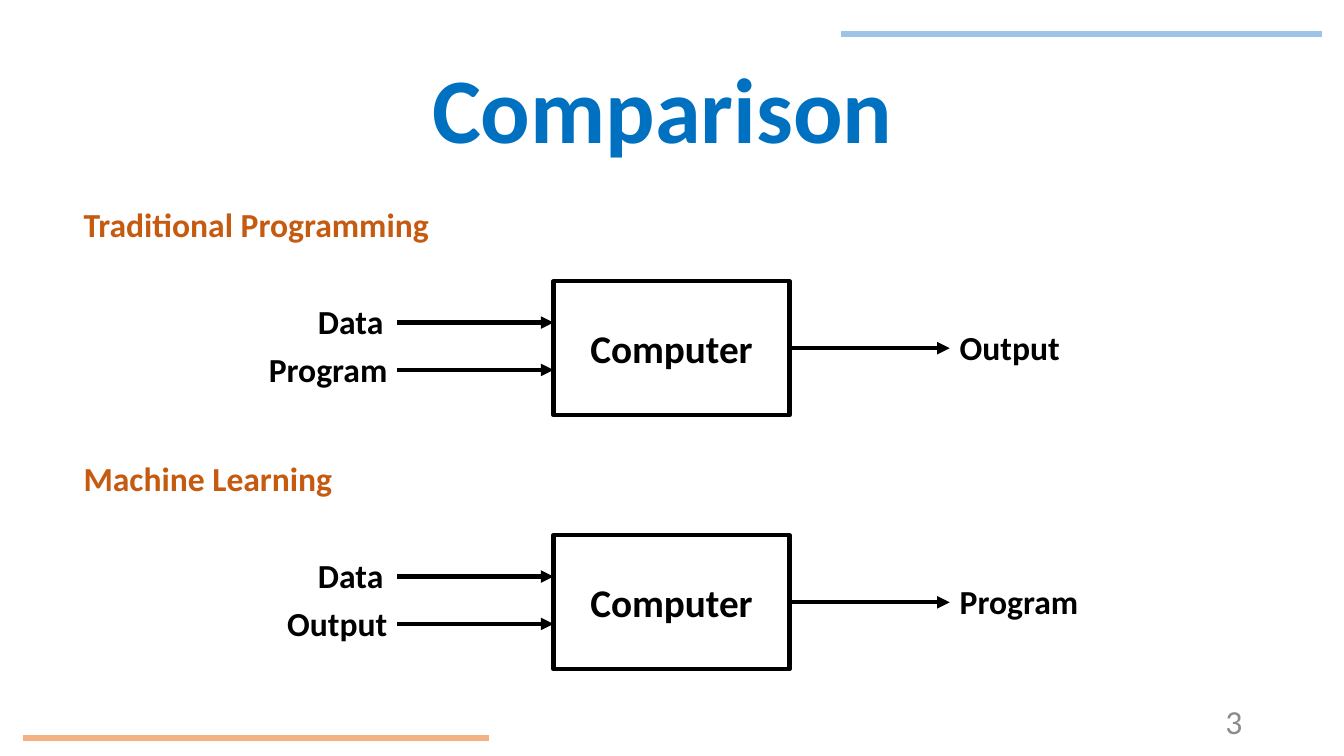
from lxml import etree
from pptx import Presentation
from pptx.dml.color import RGBColor
from pptx.enum import shapes, text
from pptx.oxml import ns
from pptx.util import Inches, Pt

TITLE = "Comparison"
PAGE_NUMBER = "3"
FLOWS = [
    {"heading": "Traditional Programming", "machine": "Computer",
     "inputs": ["Data", "Program"], "result": "Output"},
    {"heading": "Machine Learning", "machine": "Computer",
     "inputs": ["Data", "Output"], "result": "Program"},
]
ACCENT_RULES = [
    ((8.34, 0.34), (13.11, 0.34), "9DC3E6"),
    ((0.23, 7.32), (4.85, 7.32), "F4B183"),
]
FONT = "Calibri"
BLACK = "000000"
LEFT, CENTER, RIGHT = text.PP_ALIGN.LEFT, text.PP_ALIGN.CENTER, text.PP_ALIGN.RIGHT
TOP, MIDDLE = text.MSO_ANCHOR.TOP, text.MSO_ANCHOR.MIDDLE

FLOW_TOP, FLOW_PITCH = 1.97, 2.52
MACHINE_LEFT, MACHINE_DROP, MACHINE_W, MACHINE_H = 5.49, 0.82, 2.34, 1.33
INPUT_ARROW_LEFT, INPUT_DROP, INPUT_PITCH = 3.94, 1.23, 0.47
INPUT_LABEL_RIGHTS = [3.9, 3.94]
LABEL_W, LABEL_H, LABEL_RISE = 1.55, 0.5, 0.26
RESULT_LEFT = 9.42


def color(hex_string):
    return RGBColor.from_string(hex_string)


def write(shape, words, size, ink, align=LEFT, anchor=TOP, bold=True):
    frame = shape.text_frame
    frame.text = words
    frame.word_wrap = True
    frame.vertical_anchor = anchor
    paragraph = frame.paragraphs[0]
    paragraph.alignment = align
    font = paragraph.runs[0].font
    font.name, font.size, font.bold = FONT, Pt(size), bold
    font.color.rgb = color(ink)
    return paragraph


def add_label(slide, box, words, size=24, ink=BLACK, **style):
    label = slide.shapes.add_textbox(*map(Inches, box))
    write(label, words, size, ink, **style)


def add_line(slide, start, end, ink=BLACK, width=3, arrow=True):
    line = slide.shapes.add_connector(
        shapes.MSO_CONNECTOR.STRAIGHT, *map(Inches, start + end))
    line.line.color.rgb = color(ink)
    line.line.width = Pt(width)
    if arrow:
        outline = line.line._get_or_add_ln()
        etree.SubElement(outline, ns.qn("a:tailEnd"), type="triangle")
    etree.SubElement(line._element.spPr, ns.qn("a:effectLst"))
    return line


def add_flow(slide, flow, top):
    add_label(slide, (0.73, top, 4.05, LABEL_H), flow["heading"], ink="C55A11")

    machine_top = top + MACHINE_DROP
    machine = slide.shapes.add_shape(
        shapes.MSO_SHAPE.RECTANGLE,
        *map(Inches, (MACHINE_LEFT, machine_top, MACHINE_W, MACHINE_H)))
    machine.shadow.inherit = False
    machine.fill.background()
    machine.line.color.rgb = color(BLACK)
    machine.line.width = Pt(3)
    write(machine, flow["machine"], 28, BLACK, CENTER, MIDDLE)

    for i, (name, right) in enumerate(zip(flow["inputs"], INPUT_LABEL_RIGHTS)):
        y = top + INPUT_DROP + i * INPUT_PITCH
        add_line(slide, (INPUT_ARROW_LEFT, y), (MACHINE_LEFT, y))
        add_label(slide, (right - LABEL_W, y - LABEL_RISE, LABEL_W, LABEL_H),
                  name, align=RIGHT)

    y = machine_top + MACHINE_H / 2
    result_arrow = add_line(slide, (MACHINE_LEFT + MACHINE_W, y), (RESULT_LEFT, y))
    result_arrow.begin_connect(machine, 3)
    add_label(slide, (RESULT_LEFT, y - LABEL_RISE, LABEL_W, LABEL_H), flow["result"])


def main():
    deck = Presentation()
    deck.slide_width, deck.slide_height = Inches(13.33), Inches(7.5)
    slide = deck.slides.add_slide(deck.slide_layouts[5])

    title = slide.shapes.title
    title.left, title.top, title.width, title.height = map(
        Inches, (0.82, 0.4, 11.5, 1.45))
    write(title, TITLE, 66, "0070C0", CENTER, MIDDLE).line_spacing = 0.9

    for i, flow in enumerate(FLOWS):
        add_flow(slide, flow, FLOW_TOP + i * FLOW_PITCH)

    add_label(slide, (9.42, 6.95, 3, 0.4), PAGE_NUMBER, ink="8C8C8C",
              align=RIGHT, anchor=MIDDLE, bold=False)
    for start, end, ink in ACCENT_RULES:
        add_line(slide, start, end, ink, 4.5, arrow=False)

    deck.save("out.pptx")


if __name__ == "__main__":
    main()
